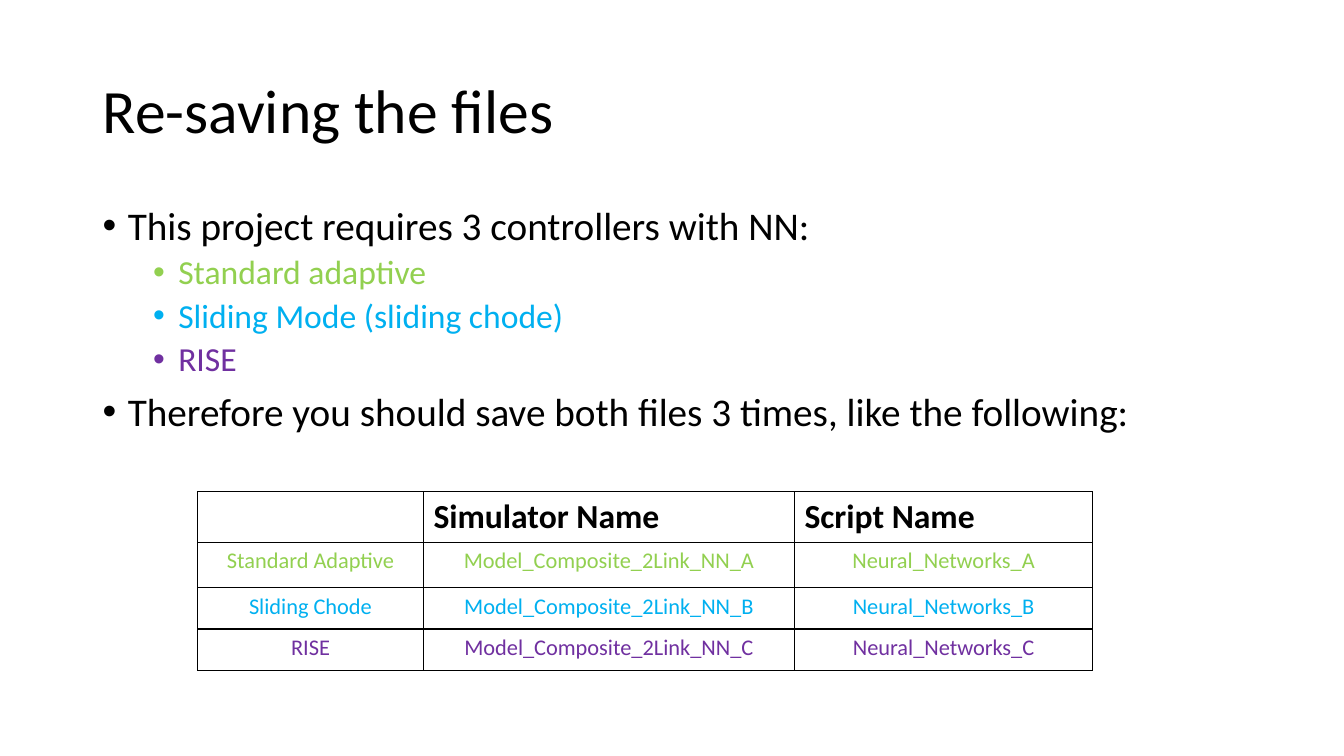
"""Build a slide on saving controller files under three names."""
from lxml import etree
from pptx import Presentation
from pptx.dml.color import RGBColor
from pptx.enum import text
from pptx.oxml import ns
from pptx.util import Inches, Pt

COLORS = {"black": "000000", "adaptive": "92D050", "sliding": "00B0F0", "rise": "7030A0"}
FONT = "Calibri"
BULLETS = [
    (0, "This project requires 3 controllers with NN:", "black"),
    (1, "Standard adaptive", "adaptive"),
    (1, "Sliding Mode (sliding chode)", "sliding"),
    (1, "RISE", "rise"),
    (0, "Therefore you should save both files 3 times, like the following:", "black"),
]
LEVELS = [
    {"size": 28, "margin": 0.25, "before": 10},
    {"size": 24, "margin": 0.75, "before": 5},
]
HEADERS = ["", "Simulator Name", "Script Name"]
CONTROLLERS = [
    ("Standard Adaptive", "A", "adaptive"),
    ("Sliding Chode", "B", "sliding"),
    ("RISE", "C", "rise"),
]
COLUMN_WIDTHS = [2.24, 3.68, 2.96]
ROW_HEIGHTS = [0.5, 0.45, 0.41, 0.41]


def style_font(paragraph, size, color, bold=False):
    paragraph.font.name = FONT
    paragraph.font.size = Pt(size)
    paragraph.font.bold = bold
    paragraph.font.color.rgb = RGBColor.from_string(COLORS[color])


def add_text_frame(slide, left, top, width, height, anchor):
    box = slide.shapes.add_textbox(Inches(left), Inches(top), Inches(width), Inches(height))
    frame = box.text_frame
    frame.word_wrap = True
    frame.vertical_anchor = anchor
    return frame


def add_title(slide, title):
    frame = add_text_frame(slide, 0.92, 0.4, 11.5, 1.45, text.MSO_ANCHOR.MIDDLE)
    paragraph = frame.paragraphs[0]
    paragraph.text = title
    paragraph.line_spacing = 0.9
    style_font(paragraph, 44, "black")


def set_bullet(paragraph, margin):
    properties = paragraph._p.get_or_add_pPr()
    properties.set("marL", str(Inches(margin)))
    properties.set("indent", str(Inches(-0.25)))
    etree.SubElement(properties, ns.qn("a:buFont"), typeface="Arial")
    etree.SubElement(properties, ns.qn("a:buChar"), char="•")


def add_bullets(slide, bullets):
    frame = add_text_frame(slide, 0.92, 2, 11.5, 2.6, text.MSO_ANCHOR.TOP)
    for index, (level, line, color) in enumerate(bullets):
        paragraph = frame.add_paragraph() if index else frame.paragraphs[0]
        style = LEVELS[level]
        paragraph.text = line
        paragraph.level = level
        paragraph.line_spacing = 0.9
        paragraph.space_before = Pt(style["before"])
        set_bullet(paragraph, style["margin"])
        style_font(paragraph, style["size"], color)


def set_borders(cell):
    properties = cell._tc.get_or_add_tcPr()
    for side in ("lnL", "lnR", "lnT", "lnB"):
        line = etree.SubElement(properties, ns.qn(f"a:{side}"), w=str(Pt(1)))
        fill = etree.SubElement(line, ns.qn("a:solidFill"))
        etree.SubElement(fill, ns.qn("a:srgbClr"), val=COLORS["black"])


def fill_cell(cell, words, size, color, bold, alignment):
    set_borders(cell)
    cell.fill.background()
    paragraph = cell.text_frame.paragraphs[0]
    paragraph.text = words
    paragraph.alignment = alignment
    style_font(paragraph, size, color, bold)


def add_file_table(slide):
    frame = slide.shapes.add_table(
        len(ROW_HEIGHTS), len(COLUMN_WIDTHS), Inches(1.96), Inches(4.88),
        Inches(sum(COLUMN_WIDTHS)), Inches(sum(ROW_HEIGHTS)))
    table = frame.table
    table.first_row = False
    table.horz_banding = False
    for column, width in zip(table.columns, COLUMN_WIDTHS):
        column.width = Inches(width)
    for row, height in zip(table.rows, ROW_HEIGHTS):
        row.height = Inches(height)
    for cell, header in zip(table.rows[0].cells, HEADERS):
        fill_cell(cell, header, 24, "black", True, text.PP_ALIGN.LEFT)
    for row_index, (controller, suffix, color) in enumerate(CONTROLLERS, 1):
        names = [controller, f"Model_Composite_2Link_NN_{suffix}", f"Neural_Networks_{suffix}"]
        for cell, name in zip(table.rows[row_index].cells, names):
            fill_cell(cell, name, 16, color, False, text.PP_ALIGN.CENTER)


def main():
    presentation = Presentation()
    presentation.slide_width = Inches(13.33)
    presentation.slide_height = Inches(7.5)
    slide = presentation.slides.add_slide(presentation.slide_layouts[6])
    add_title(slide, "Re-saving the files")
    add_bullets(slide, BULLETS)
    add_file_table(slide)
    presentation.save("out.pptx")


if __name__ == "__main__":
    main()
